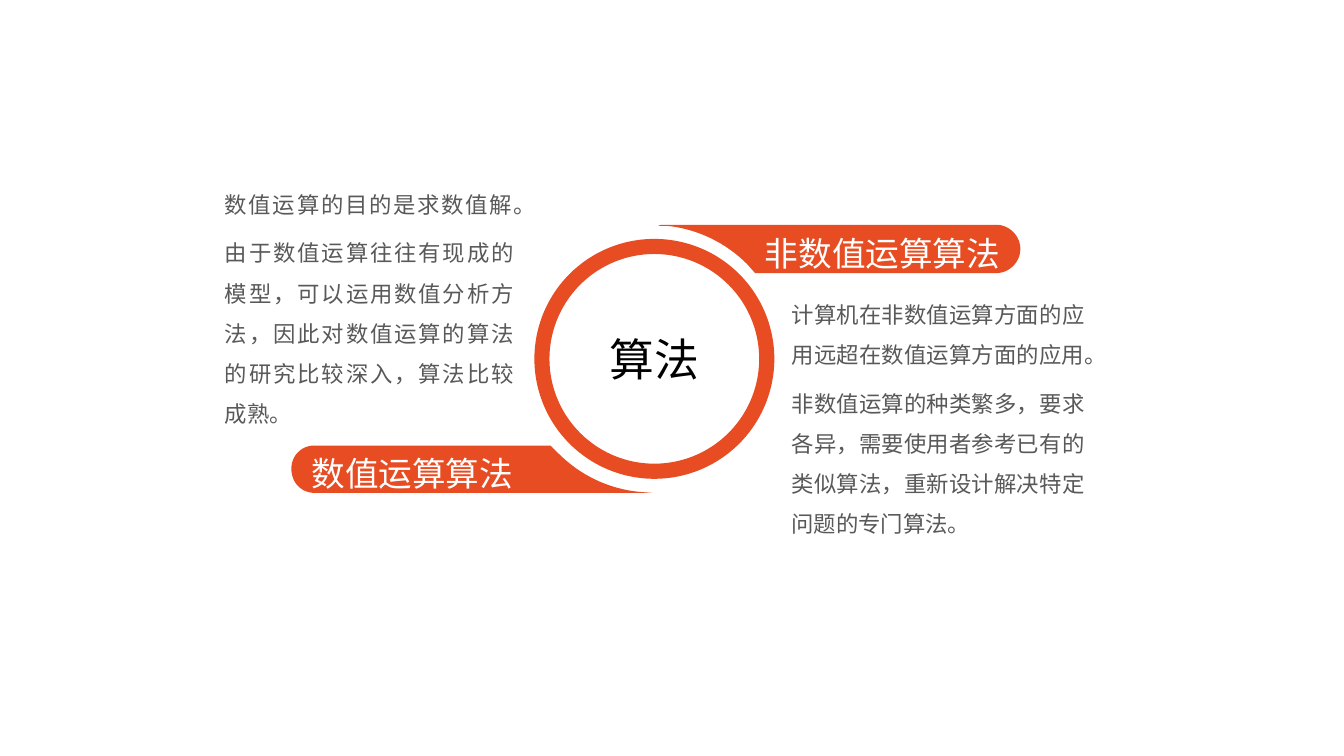
import pptx
import pptx.util
import pptx.dml.color
import pptx.enum.shapes
import pptx.enum.text
import lxml.etree
import pptx.oxml.ns

Inches = pptx.util.Inches
ALIGN = pptx.enum.text.PP_ALIGN
ANCHOR = pptx.enum.text.MSO_ANCHOR
COLORS = {"accent": "E84C22", "label": "FFFFFF", "center": "000000", "body": "595959"}
CJK_FONT = "Noto Sans CJK SC"
CURVE_STEPS = 16

BANNERS = [
    {"text": "非数值运算算法", "font": "Arial Narrow", "align": ALIGN.RIGHT,
     "outline": [(6.56, 2.23), (9.88, 2.23),
                 ((10.01, 2.23), (10.12, 2.34), (10.12, 2.47)),
                 ((10.12, 2.6), (10.01, 2.71), (9.88, 2.71)),
                 (7.49, 2.71), (7.41, 2.62),
                 ((7.2, 2.41), (6.92, 2.27), (6.61, 2.24)), (6.53, 2.24)]},
    {"text": "数值运算算法", "font": CJK_FONT, "align": ALIGN.LEFT,
     "outline": [(3.12, 4.42), (5.46, 4.42), (5.54, 4.5),
                 ((5.75, 4.71), (6.03, 4.85), (6.34, 4.88)), (6.47, 4.89), (3.12, 4.89),
                 ((2.99, 4.89), (2.89, 4.79), (2.89, 4.65)),
                 ((2.89, 4.52), (2.99, 4.42), (3.12, 4.42))]},
]
RING = {"text": "算法", "box": (5.3, 2.37, 2.38, 2.38), "thickness": 0.063}
DESCRIPTIONS = [
    {"box": (2.23, 2.06, 3.07, 2.34), "anchor": ANCHOR.BOTTOM, "paragraphs": [
        "数值运算的目的是求数值解。",
        "由于数值运算往往有现成的模型，可以运用数值分析方法，因此对数值运算的算法的研究比较深入，算法比较成熟。"]},
    {"box": (7.85, 2.69, 3.11, 1.89), "anchor": ANCHOR.TOP, "paragraphs": [
        "计算机在非数值运算方面的应用远超在数值运算方面的应用。",
        "非数值运算的种类繁多，要求各异，需要使用者参考已有的类似算法，重新设计解决特定问题的专门算法。"]},
]


def rgb(name):
    return pptx.dml.color.RGBColor.from_string(COLORS[name])


def curve_points(start, first, second, end):
    for step in range(1, CURVE_STEPS + 1):
        t = step / CURVE_STEPS
        u = 1 - t
        yield tuple(u**3 * a + 3 * u * u * t * b + 3 * u * t * t * c + t**3 * d
                    for a, b, c, d in zip(start, first, second, end))


def flatten(outline):
    points = []
    for segment in outline:
        if len(segment) == 3:
            points.extend(curve_points(points[-1], *segment))
        else:
            points.append(segment)
    return [(Inches(x), Inches(y)) for x, y in points]


def paint(shape):
    shape.shadow.inherit = False
    shape.fill.solid()
    shape.fill.fore_color.rgb = rgb("accent")
    shape.line.fill.background()


def write(shape, paragraphs, size, color, align, anchor, insets,
          font=CJK_FONT, spacing=1.0, before=0):
    frame = shape.text_frame
    frame.word_wrap = True
    frame.vertical_anchor = anchor
    horizontal, vertical, right = insets
    frame.margin_left, frame.margin_right = Inches(horizontal), Inches(right)
    frame.margin_top = frame.margin_bottom = Inches(vertical)
    frame.text = "\n".join(paragraphs)
    for paragraph in frame.paragraphs:
        paragraph.alignment = align
        paragraph.line_spacing = spacing
        paragraph.space_before = pptx.util.Pt(before)
        for run in paragraph.runs:
            run.font.size = pptx.util.Pt(size)
            run.font.name = font
            run.font.color.rgb = rgb(color)
            east_asian = lxml.etree.SubElement(run.font._element, pptx.oxml.ns.qn("a:ea"))
            east_asian.set("typeface", CJK_FONT)


def main():
    presentation = pptx.Presentation()
    presentation.slide_width = Inches(13.33)
    presentation.slide_height = Inches(7.5)
    slide = presentation.slides.add_slide(presentation.slide_layouts[6])

    for banner in BANNERS:
        points = flatten(banner["outline"])
        builder = slide.shapes.build_freeform(*points[0])
        builder.add_line_segments(points[1:], close=True)
        shape = builder.convert_to_shape()
        paint(shape)
        write(shape, [banner["text"]], 24, "label", banner["align"], ANCHOR.MIDDLE,
              (0.2, 0.05, 0.2), font=banner["font"], spacing=1.2)

    ring = slide.shapes.add_shape(pptx.enum.shapes.MSO_SHAPE.DONUT, *map(Inches, RING["box"]))
    ring.adjustments[0] = RING["thickness"]
    paint(ring)
    write(ring, [RING["text"]], 32, "center", ALIGN.CENTER, ANCHOR.MIDDLE, (0, 0, 0))

    for description in DESCRIPTIONS:
        text_box = slide.shapes.add_textbox(*map(Inches, description["box"]))
        write(text_box, description["paragraphs"], 16, "body", ALIGN.JUSTIFY,
              description["anchor"], (0, 0.16, 0.2), spacing=1.5, before=6)

    presentation.save("out.pptx")


if __name__ == "__main__":
    main()
